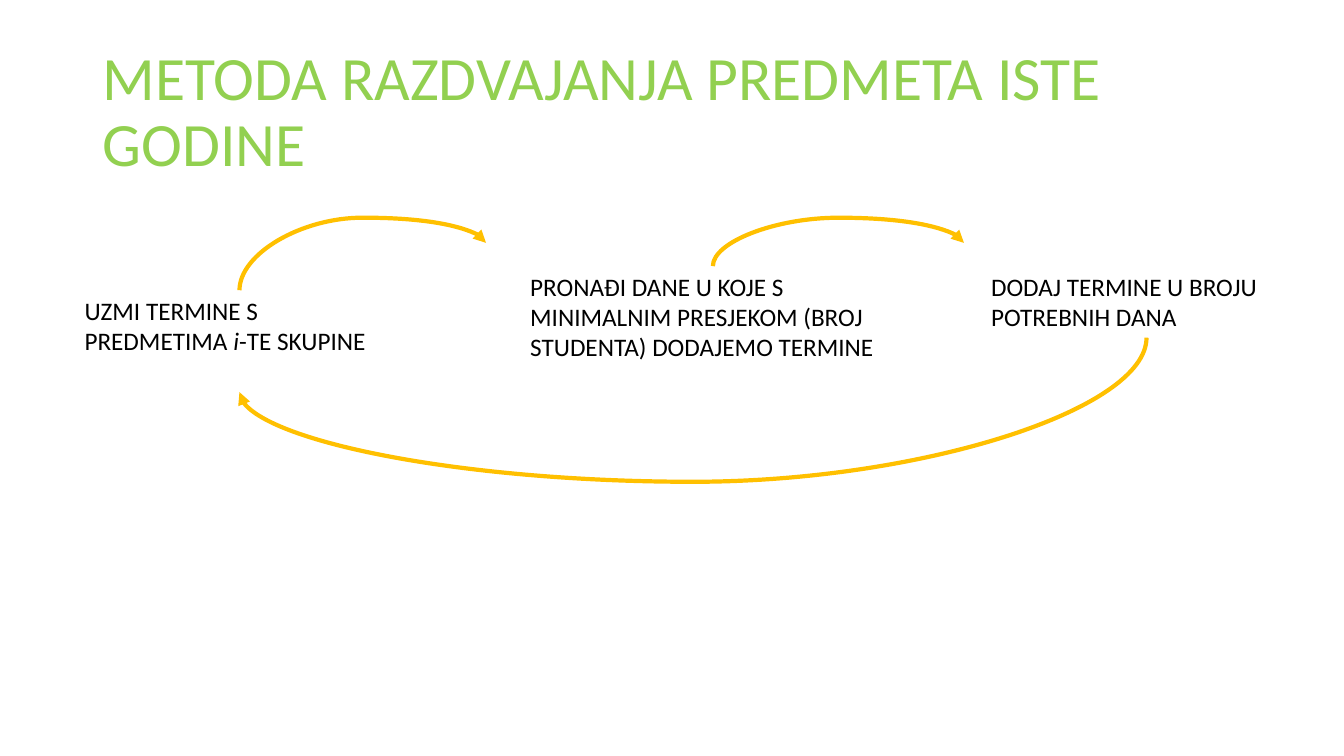
from lxml import etree
from pptx import Presentation
from pptx.dml.color import RGBColor
from pptx.enum.shapes import MSO_CONNECTOR
from pptx.enum.text import MSO_ANCHOR
from pptx.oxml.ns import qn
from pptx.util import Inches, Pt

CURVE = MSO_CONNECTOR.CURVE
MIDDLE = MSO_ANCHOR.MIDDLE
TOP = MSO_ANCHOR.TOP
WIDTH, HEIGHT = Inches(13.33), Inches(7.5)
COLORS = {"title": "92D050", "text": "000000", "arrow": "FFC000"}


def across(share):
    return round(WIDTH * share / 100)


def down(share):
    return round(HEIGHT * share / 100)


def add_text(slide, area, runs, size, color, anchor=TOP, spacing=1.0):
    left, top, width, height = area
    box = slide.shapes.add_textbox(
        across(left), down(top), across(width), down(height))
    frame = box.text_frame
    frame.word_wrap = True
    frame.vertical_anchor = anchor
    para = frame.paragraphs[0]
    para.line_spacing = spacing
    para.font.name = "Calibri"
    para.font.size = Pt(size)
    para.font.color.rgb = RGBColor.from_string(COLORS[color])
    for words, slanted in runs:
        run = para.add_run()
        run.text = words
        if slanted:
            run.font.italic = True
    return box


def add_arc(slide, start, end, bend):
    (x1, y1), (x2, y2) = start, end
    arc = slide.shapes.add_connector(CURVE, 0, 0, 0, 0)
    arc.width, arc.height = abs(y2 - y1), abs(x2 - x1)
    arc.left = (x1 + x2 - arc.width) // 2
    arc.top = (y1 + y2 - arc.height) // 2
    props = arc._element.spPr
    frame = props.find(qn("a:xfrm"))
    frame.set("rot", "5400000")
    if x2 > x1:
        frame.set("flipH", "1")
        frame.set("flipV", "1")
    shape = props.find(qn("a:prstGeom"))
    guides = shape.find(qn("a:avLst"))
    if guides is None:
        guides = etree.SubElement(shape, qn("a:avLst"))
    ratio = round((bend - y1) / (y2 - y1) * 100000)
    etree.SubElement(guides, qn("a:gd"), name="adj1", fmla=f"val {ratio}")
    arc.line.color.rgb = RGBColor.from_string(COLORS["arrow"])
    arc.line.width = Pt(3)
    etree.SubElement(arc.line._get_or_add_ln(), qn("a:tailEnd"), type="triangle")
    etree.SubElement(props, qn("a:effectLst"))


def main():
    deck = Presentation()
    deck.slide_width, deck.slide_height = WIDTH, HEIGHT
    slide = deck.slides.add_slide(deck.slide_layouts[6])
    add_text(slide, (6.9, 5.33, 86.27, 19.33),
             [("METODA RAZDVAJANJA PREDMETA ISTE GODINE", False)],
             44, "title", MIDDLE, 0.9)

    steps = [
        ((5.55, 38.4, 24.53, 13.47),
         [("UZMI TERMINE S PREDMETIMA ", False), ("i", True),
          ("-TE SKUPINE", False)]),
        ((38.71, 35.2, 28.66, 13.47),
         [("PRONAĐI DANE U KOJE S MINIMALNIM PRESJEKOM (BROJ STUDENTA) "
           "DODAJEMO TERMINE", False)]),
        ((73, 35.2, 24.61, 9.47),
         [("DODAJ TERMINE U BROJU POTREBNIH DANA", False)]),
    ]
    boxes = [add_text(slide, area, runs, 18, "text") for area, runs in steps]
    mids = [box.left + box.width // 2 for box in boxes]

    for box, mid, tip in zip(boxes, mids, (36.16, 71.72)):
        add_arc(slide, (mid, box.top), (across(tip), down(32.13)), down(28.8))
    first, last = boxes[0], boxes[-1]
    add_arc(slide, (mids[-1], last.top + last.height),
            (mids[0], first.top + first.height), down(63.73))
    deck.save("out.pptx")


if __name__ == "__main__":
    main()
